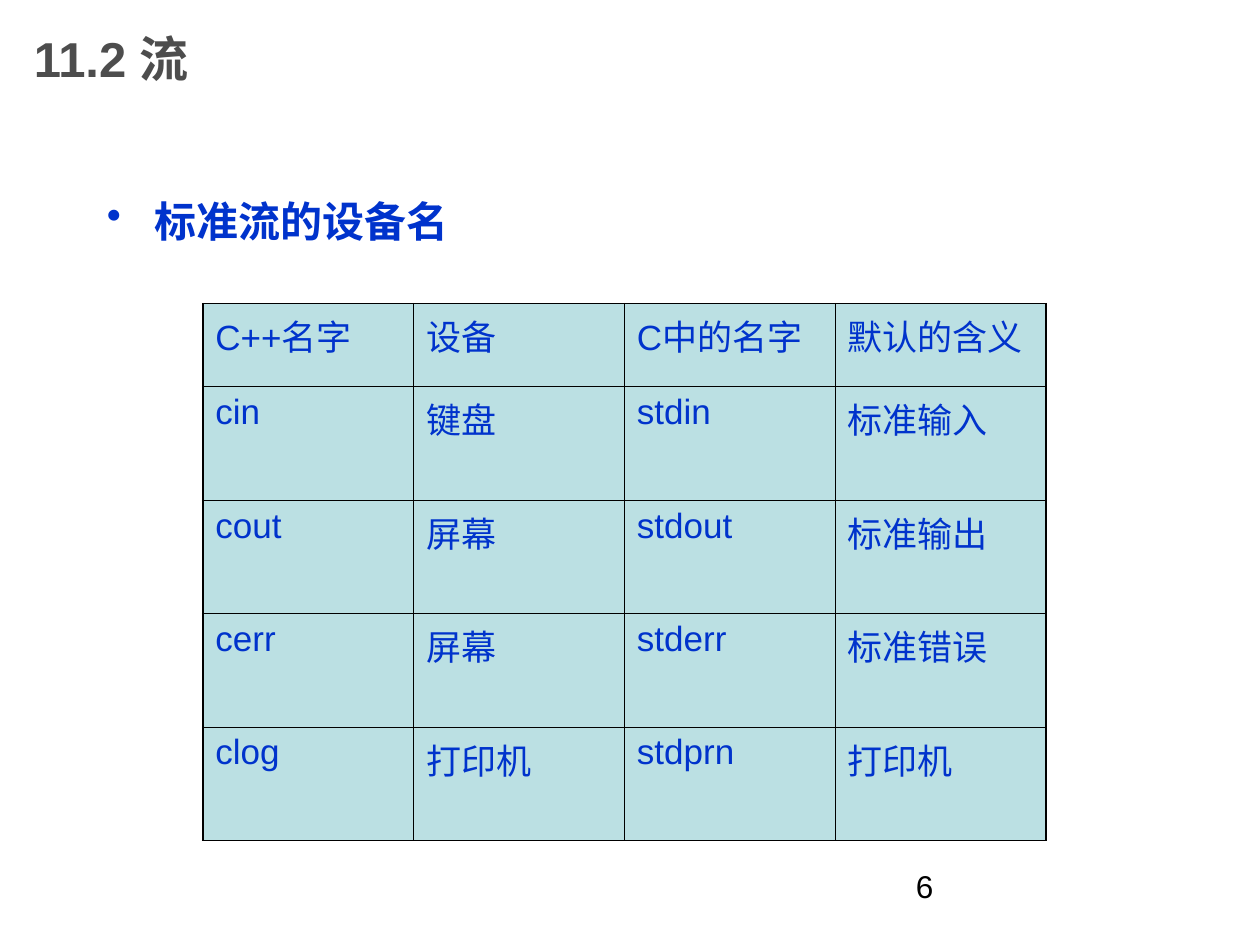
from dataclasses import dataclass

from lxml import etree
from pptx import Presentation
from pptx.dml.color import RGBColor
from pptx.enum import text
from pptx.oxml import ns
from pptx.util import Inches, Pt

GREY = RGBColor(0x4D, 0x4D, 0x4D)
BLUE = RGBColor(0x00, 0x33, 0xCC)
BLACK = RGBColor(0x00, 0x00, 0x00)
PALE_TEAL = RGBColor(0xBB, 0xE0, 0xE3)
FONT = "Arial"
OUTER_LINE, INNER_LINE = Pt(1.08), Pt(0.45)

STREAMS = [
    ("C++名字", "设备", "C中的名字", "默认的含义"),
    ("cin", "键盘", "stdin", "标准输入"),
    ("cout", "屏幕", "stdout", "标准输出"),
    ("cerr", "屏幕", "stderr", "标准错误"),
    ("clog", "打印机", "stdprn", "打印机"),
]


@dataclass
class Label:
    words: str
    left: float
    top: float
    width: float
    height: float
    size: int
    color: RGBColor
    bold: bool = False
    bullet: bool = False
    anchor: text.MSO_ANCHOR = text.MSO_ANCHOR.TOP


LABELS = [
    Label("11.2 流", 0.17, 0, 7.5, 0.92, 28, GREY, bold=True,
          anchor=text.MSO_ANCHOR.MIDDLE),
    Label("标准流的设备名", 0.75, 1.5, 4.17, 5.17, 24, BLUE, bold=True, bullet=True),
    Label("6", 7.17, 6.83, 2.33, 0.52, 18, BLACK),
]


def add_run(paragraph, words: str, size: int, color: RGBColor, bold: bool = False) -> None:
    run = paragraph.add_run()
    run.text = words
    run.font.name = FONT
    run.font.size = Pt(size)
    run.font.bold = bold
    run.font.color.rgb = color


def add_bullet(paragraph, indent: int) -> None:
    """Give the paragraph a round bullet with a hanging indent."""
    properties = paragraph._p.get_or_add_pPr()
    properties.set("marL", str(indent))
    properties.set("indent", str(-indent))
    etree.SubElement(properties, ns.qn("a:buChar"), char="•")


def add_label(slide, label: Label) -> None:
    box = slide.shapes.add_textbox(Inches(label.left), Inches(label.top),
                                   Inches(label.width), Inches(label.height))
    frame = box.text_frame
    frame.word_wrap = True
    frame.vertical_anchor = label.anchor
    paragraph = frame.paragraphs[0]
    if label.bullet:
        add_bullet(paragraph, Inches(0.38))
    add_run(paragraph, label.words, label.size, label.color, label.bold)


def add_border(cell, side: str, width: int) -> None:
    line = etree.SubElement(cell._tc.get_or_add_tcPr(), ns.qn(f"a:ln{side}"), w=str(width))
    fill = etree.SubElement(line, ns.qn("a:solidFill"))
    etree.SubElement(fill, ns.qn("a:srgbClr"), val=str(BLACK))


def add_stream_table(slide) -> None:
    row_count, column_count = len(STREAMS), len(STREAMS[0])
    table = slide.shapes.add_table(row_count, column_count, Inches(1.61), Inches(2.41),
                                   Inches(6.69), Inches(4.26)).table
    for row in table.rows:
        row.height = Inches(0.9)
    table.rows[0].height = Inches(0.66)

    for r, stream in enumerate(STREAMS):
        for c, words in enumerate(stream):
            cell = table.cell(r, c)
            on_edge = {"L": c == 0, "R": c == column_count - 1,
                       "T": r == 0, "B": r == row_count - 1}
            for side, outer in on_edge.items():
                add_border(cell, side, OUTER_LINE if outer else INNER_LINE)
            cell.fill.solid()
            cell.fill.fore_color.rgb = PALE_TEAL
            add_run(cell.text_frame.paragraphs[0], words, 20, BLUE)


def main() -> None:
    deck = Presentation()
    deck.slide_width, deck.slide_height = Inches(10), Inches(7.5)
    slide = deck.slides.add_slide(deck.slide_layouts[6])
    for label in LABELS:
        add_label(slide, label)
    add_stream_table(slide)
    deck.save("out.pptx")


if __name__ == "__main__":
    main()
